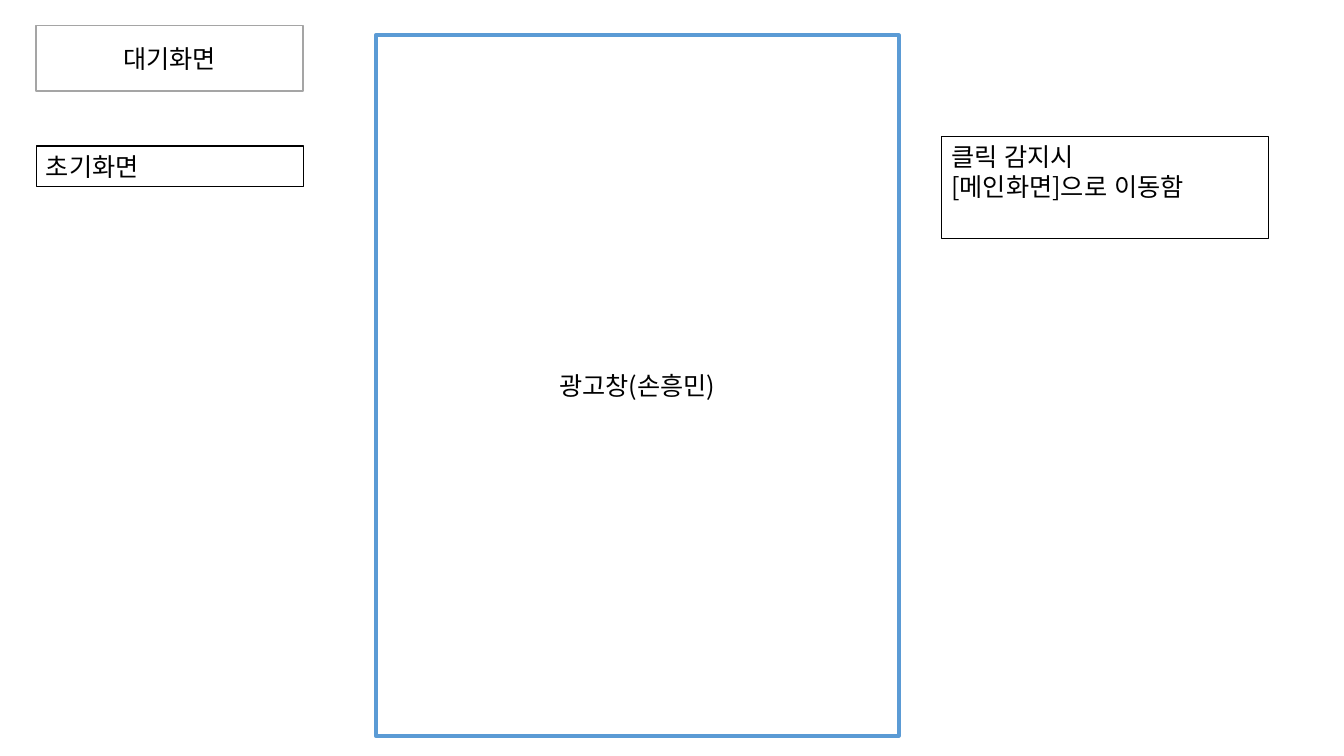
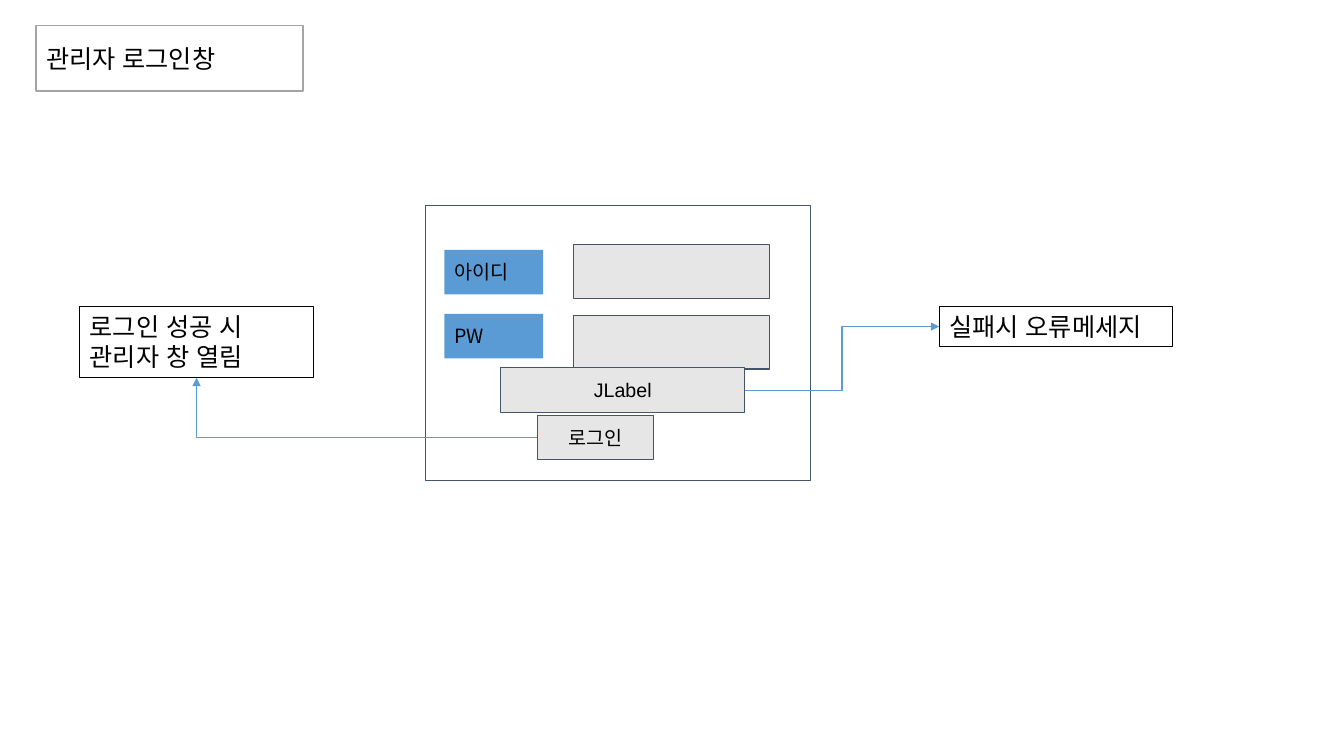
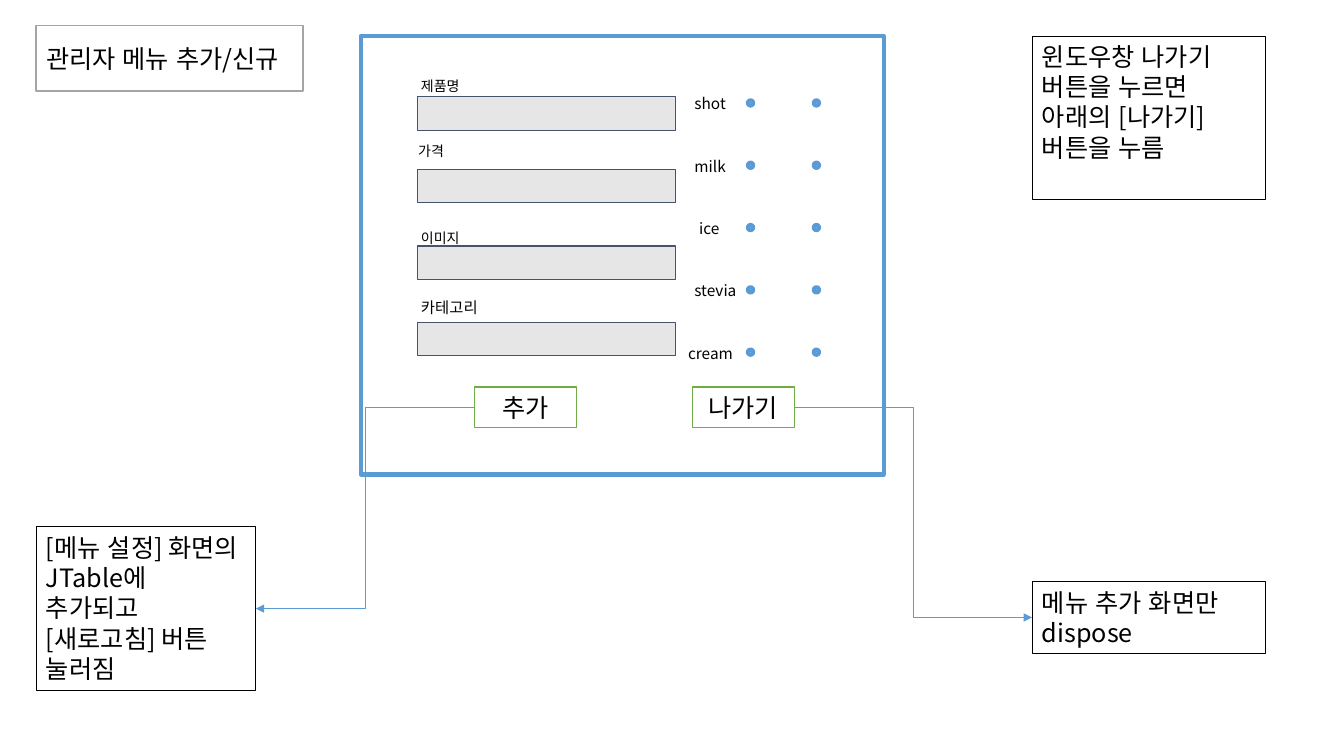
from dataclasses import dataclass

from lxml import etree
from pptx import Presentation
from pptx.dml.color import RGBColor as RGB
from pptx.enum.lang import MSO_LANGUAGE_ID as LANG
from pptx.enum.shapes import MSO_CONNECTOR as CXN, MSO_SHAPE as SHAPE
from pptx.enum.text import MSO_ANCHOR as ANCHOR, MSO_AUTO_SIZE as AUTO, PP_ALIGN as ALIGN
from pptx.oxml.ns import qn
from pptx.util import Cm, Pt


@dataclass(frozen=True)
class Theme:
    font: str = "Noto Sans CJK KR"
    latin: str = "Arial"
    black: str = "000000"
    white: str = "FFFFFF"
    blue: str = "5B9BD5"
    green: str = "70AD47"
    slate: str = "44546A"
    silver: str = "A5A5A5"
    pale: str = "E7E6E6"
    body: int = 18
    control: int = 14
    option: int = 11
    caption: int = 10
    leading: float = 1.2


T = Theme()
TOP, LEFT, BOTTOM, RIGHT = range(4)  # connection sites of a rectangle

# Looks shared by the slides
TITLE = dict(fill=T.white, line=T.silver, weight=1, anchor=ANCHOR.MIDDLE)
NOTE = dict(line=T.black)
FRAME = dict(fill=T.white, line=T.blue, weight=3, anchor=ANCHOR.MIDDLE, align=ALIGN.CENTER)
FIELD = dict(fill=T.pale, line=T.slate)
CONTROL = dict(FIELD, size=T.control, font=T.latin, pad=0.25,
               anchor=ANCHOR.MIDDLE, align=ALIGN.CENTER)
BUTTON = dict(fill=T.white, line=T.green, weight=1, anchor=ANCHOR.MIDDLE, align=ALIGN.CENTER)
LABEL = dict(fill=T.blue, size=T.control, pad=0.25)
CAPTION = dict(size=T.caption, pad=0.25)
OPTION = dict(size=T.option, pad=0.25)


def box(s, at, text="", *, kind=SHAPE.RECTANGLE, fill=None, line=None, weight=0.75,
        size=T.body, font=T.font, pad=0.13, anchor=ANCHOR.TOP, align=ALIGN.LEFT):
    """Place a styled shape at (left, top, width, height) in cm.

    The title placeholder is used if kind is None, a text box if there is no fill or line.
    """
    place = [Cm(v) for v in at]
    if kind is None:
        sp = s.shapes.title
        sp.left, sp.top, sp.width, sp.height = place
    elif fill or line:
        sp = s.shapes.add_shape(kind, *place)
        sp.shadow.inherit = False
    else:
        sp = s.shapes.add_textbox(*place)
    for paint, color in ((sp.fill, fill), (sp.line.fill, line)):
        if color:
            paint.solid()
            paint.fore_color.rgb = RGB.from_string(color)
        else:
            paint.background()
    if line:
        sp.line.width = Pt(weight)
    if not text:
        return sp

    tf = sp.text_frame
    tf.word_wrap, tf.auto_size, tf.vertical_anchor = True, AUTO.NONE, anchor
    tf.margin_left = tf.margin_right = Cm(0.25)
    tf.margin_top = tf.margin_bottom = Cm(pad)
    for i, words in enumerate(text.split("\n")):
        p = tf.add_paragraph() if i else tf.paragraphs[0]
        p.alignment, p.line_spacing = align, Pt(size * T.leading)
        p.space_before = p.space_after = Pt(0)
        r = p.add_run()
        r.text = words
        r.font.name, r.font.size = font, Pt(size)
        r.font.color.rgb = RGB.from_string(T.black)
        r.font.language_id = LANG.KOREAN
        etree.SubElement(r.font._element, qn("a:ea")).set("typeface", T.font)
    return sp


def arrow(s, start, start_site, end, end_site):
    """Join two boxes with an elbow arrow; a vertical end site gives a single bend."""
    cx = s.shapes.add_connector(CXN.ELBOW, 0, 0, 0, 0)
    cx.begin_connect(start, start_site)
    cx.end_connect(end, end_site)
    cx.line.color.rgb, cx.line.width = RGB.from_string(T.blue), Pt(0.75)
    sp_pr = cx._element.spPr
    if end_site in (TOP, BOTTOM):
        sp_pr.find(qn("a:prstGeom")).set("prst", "bentConnector2")
    etree.SubElement(sp_pr.find(qn("a:ln")), qn("a:tailEnd")).set("type", "triangle")
    etree.SubElement(sp_pr, qn("a:effectLst"))


prs = Presentation()
prs.slide_width, prs.slide_height = Cm(33.87), Cm(19.05)
slides = []
for title, align in (("대기화면", ALIGN.CENTER),
                     ("관리자 로그인창", ALIGN.LEFT),
                     ("관리자 메뉴 추가/신규", ALIGN.LEFT)):
    s = prs.slides.add_slide(prs.slide_layouts[5])
    box(s, (0.91, 0.64, 6.73, 1.65), title, kind=None, align=align, **TITLE)
    slides.append(s)
standby, login, menu = slides

# Standby screen
box(standby, (9.47, 0.89, 13.18, 17.65), "광고창(손흥민)", **FRAME)
box(standby, (23.72, 3.43, 8.26, 2.57), "클릭 감지시\n[메인화면]으로 이동함", **NOTE)
box(standby, (0.91, 3.68, 6.73, 1.02), "초기화면", **NOTE)

# Administrator login
box(login, (10.72, 5.18, 9.7, 6.93), fill=T.white, line=T.slate)
for i, name in enumerate(("아이디", "PW")):
    box(login, (14.45, 6.17 + 1.78 * i, 4.95, 1.35), **FIELD)
    box(login, (11.2, 6.3 + 1.61 * i, 2.49, 1.12), name, **LABEL)
message = box(login, (12.62, 9.27, 6.15, 1.12), "JLabel", **CONTROL)
submit = box(login, (13.54, 10.46, 2.92, 1.12), "로그인", **CONTROL)
success = box(login, (2.01, 7.72, 5.89, 1.8), "로그인 성공 시 관리자 창 열림", **NOTE)
failure = box(login, (23.67, 7.72, 5.89, 1.02), "실패시 오류메세지", **NOTE)
arrow(login, submit, LEFT, success, BOTTOM)
arrow(login, message, RIGHT, failure, LEFT)

# Adding a menu item
box(menu, (9.09, 0.91, 13.18, 11.05), **FRAME)
box(menu, (26.01, 0.91, 5.89, 4.11),
    "윈도우창 나가기 버튼을 누르면 아래의 [나가기]버튼을 누름", **NOTE)
add = box(menu, (11.96, 9.75, 2.57, 1.02), "추가", **BUTTON)
leave = box(menu, (17.45, 9.75, 2.57, 1.02), "나가기", **BUTTON)
added = box(menu, (0.91, 13.28, 5.54, 4.11),
            "[메뉴 설정] 화면의 JTable에 추가되고 [새로고침] 버튼 눌러짐", **NOTE)
closed = box(menu, (26.01, 14.66, 5.89, 1.8), "메뉴 추가 화면만\ndispose", **NOTE)
arrow(menu, add, LEFT, added, RIGHT)
arrow(menu, leave, RIGHT, closed, LEFT)

for name, x, y, field_y, style in (("제품명", 10.36, 1.7, 2.44, CAPTION),
                                   ("가격", 10.29, 3.33, 4.27, CAPTION),
                                   ("이미지", 10.36, 5.54, 6.2, CAPTION),
                                   ("카테고리", 10.36, 7.26, 8.13, OPTION)):
    box(menu, (10.52, field_y, 6.5, 0.84), **FIELD)
    box(menu, (x, y, 3.7, 0.95), name, **style)

for i, (name, x) in enumerate((("shot", 17.25), ("milk", 17.25), ("ice", 17.37),
                               ("stevia", 17.25), ("cream", 17.09))):
    y = 2.53 + 1.57 * i
    for dot_x in (18.85, 20.51):
        box(menu, (dot_x, y, 0.13, 0.13), kind=SHAPE.OVAL, **FRAME)
    box(menu, (x, y - 0.4, 2.6, 0.99), name, **OPTION)

prs.save("out.pptx")
